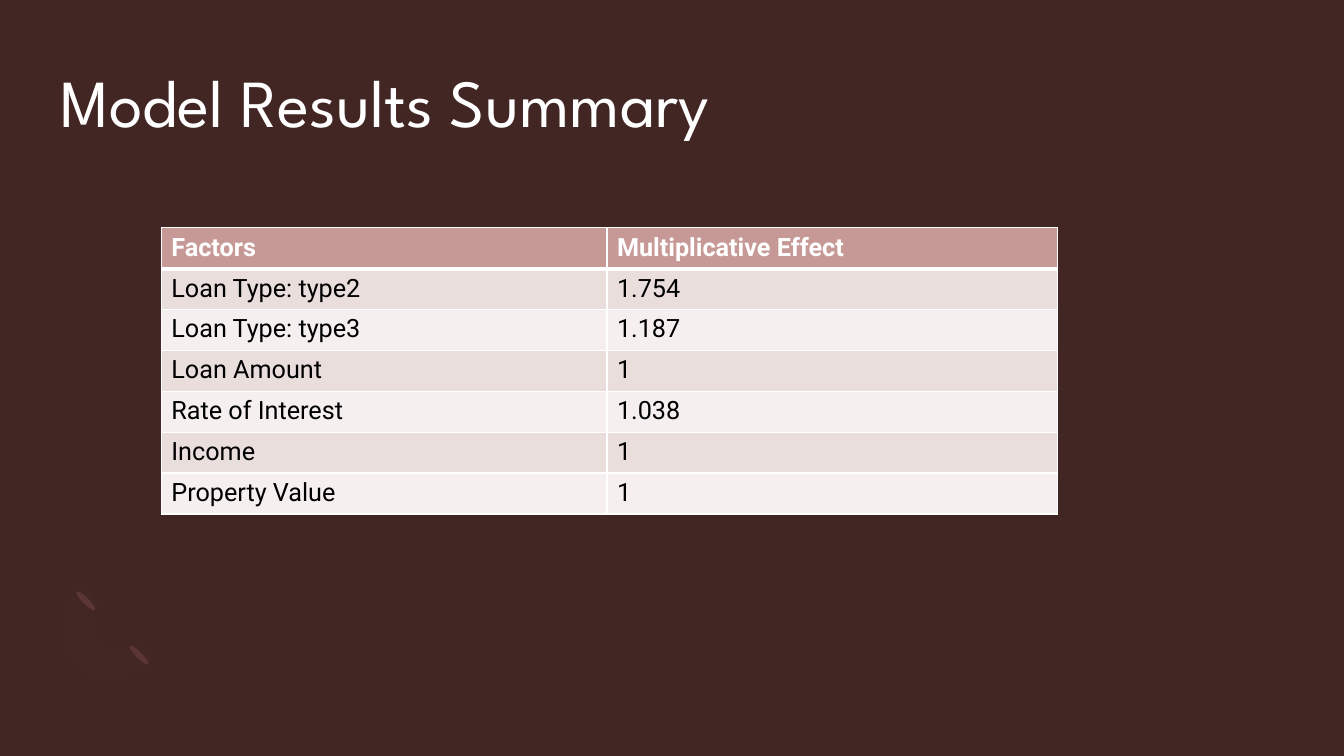
from lxml import etree
from pptx import Presentation
from pptx.dml.color import RGBColor
from pptx.enum.shapes import MSO_SHAPE
from pptx.enum.text import MSO_ANCHOR, PP_ALIGN
from pptx.oxml.ns import qn
from pptx.util import Inches, Pt

BACKGROUND = RGBColor(0x41, 0x26, 0x24)
WHITE = RGBColor(0xFF, 0xFF, 0xFF)
BLACK = RGBColor(0, 0, 0)
HEADER = RGBColor(0xC6, 0x99, 0x96)
BAND_DARK = RGBColor(0xEA, 0xDE, 0xDD)
BAND_LIGHT = RGBColor(0xF5, 0xEF, 0xEF)
PETAL = RGBColor(0x5B, 0x35, 0x33)
ARC = RGBColor(0xB6, 0x7F, 0x7B)

FACTORS = [
    ("Factors", "Multiplicative Effect"),
    ("Loan Type: type2", "1.754"),
    ("Loan Type: type3", "1.187"),
    ("Loan Amount", "1"),
    ("Rate of Interest", "1.038"),
    ("Income", "1"),
    ("Property Value", "1"),
]
OUTER_CURVE = [((0.76, 6.59), (0.56, 6.39), (0.58, 6.05), (0.81, 5.82))]
INNER_CURVES = [
    ((0.99, 6), (0.87, 6.11), (0.86, 6.29), (0.96, 6.38)),
    ((0.96, 6.38), (1.06, 6.48), (1.23, 6.47), (1.35, 6.36)),
]
CLOSING_CURVE = [((1.52, 6.54), (1.3, 6.76), (0.95, 6.79), (0.76, 6.59))]


def add_run(paragraph, text, font, size, color, bold=False):
    run = paragraph.add_run()
    run.text = text
    run.font.name = font
    run.font.size = Pt(size)
    run.font.bold = bold
    run.font.color.rgb = color


def fill_plain(shape, color):
    shape.shadow.inherit = False
    shape.fill.solid()
    shape.fill.fore_color.rgb = color
    shape.line.fill.background()


def add_petal(slide, left, top):
    petal = slide.shapes.add_shape(
        MSO_SHAPE.OVAL, Inches(left), Inches(top), Inches(0.06), Inches(0.26))
    petal.rotation = 135
    fill_plain(petal, PETAL)


def curve_points(curve, steps=10):
    for step in range(steps + 1):
        t = step / steps
        weights = ((1 - t) ** 3, 3 * t * (1 - t) ** 2, 3 * t * t * (1 - t), t ** 3)
        yield tuple(Inches(sum(w * point[axis] for w, point in zip(weights, curve)))
                    for axis in (0, 1))


def add_arc(slide):
    curves = OUTER_CURVE + INNER_CURVES + CLOSING_CURVE
    outline = [point for curve in curves for point in curve_points(curve)]
    builder = slide.shapes.build_freeform(*outline[0])
    builder.add_line_segments(outline[1:], close=True)
    arc = builder.convert_to_shape()
    fill_plain(arc, ARC)
    color = arc.fill._xPr.find(qn("a:solidFill"))[0]
    etree.SubElement(color, qn("a:alpha"), val="2000")


def add_title(slide, text):
    title = slide.shapes.title
    title.left, title.top = Inches(0.6), Inches(0.6)
    title.width, title.height = Inches(12.13), Inches(1.46)
    frame = title.text_frame
    frame.margin_left = frame.margin_right = 0
    frame.margin_top = frame.margin_bottom = 0
    frame.vertical_anchor = MSO_ANCHOR.TOP
    frame.word_wrap = True
    paragraph = frame.paragraphs[0]
    paragraph.alignment = PP_ALIGN.LEFT
    add_run(paragraph, text, "League Spartan", 48, WHITE)


def set_borders(cell, widths):
    properties = cell._tc.get_or_add_tcPr()
    for position, (side, width) in enumerate(widths.items()):
        border = etree.Element(qn(f"a:ln{side}"), w=str(Pt(width)))
        fill = etree.SubElement(border, qn("a:solidFill"))
        etree.SubElement(fill, qn("a:srgbClr"), val=str(WHITE))
        properties.insert(position, border)


def add_factor_table(slide):
    table = slide.shapes.add_table(
        len(FACTORS), 2, Inches(1.6), Inches(2.26), Inches(8.89), Inches(2.84)).table
    for column, width in zip(table.columns, (4.42, 4.47)):
        column.width = Inches(width)
    for index, values in enumerate(FACTORS):
        is_header = index == 0
        band = HEADER if is_header else BAND_DARK if index % 2 else BAND_LIGHT
        widths = {"L": 1, "R": 1, "T": 3 if index == 1 else 1, "B": 3 if is_header else 1}
        for cell, value in zip(table.rows[index].cells, values):
            cell.fill.solid()
            cell.fill.fore_color.rgb = band
            set_borders(cell, widths)
            add_run(cell.text_frame.paragraphs[0], value, "Roboto", 18,
                    WHITE if is_header else BLACK, is_header)


def main():
    deck = Presentation()
    deck.slide_width, deck.slide_height = Inches(13.33), Inches(7.5)
    slide = deck.slides.add_slide(deck.slide_layouts[5])
    slide.background.fill.solid()
    slide.background.fill.fore_color.rgb = BACKGROUND
    add_petal(slide, 1.35, 6.37)
    add_petal(slide, 0.82, 5.83)
    add_arc(slide)
    add_title(slide, "Model Results Summary")
    add_factor_table(slide)
    deck.save("out.pptx")


if __name__ == "__main__":
    main()
